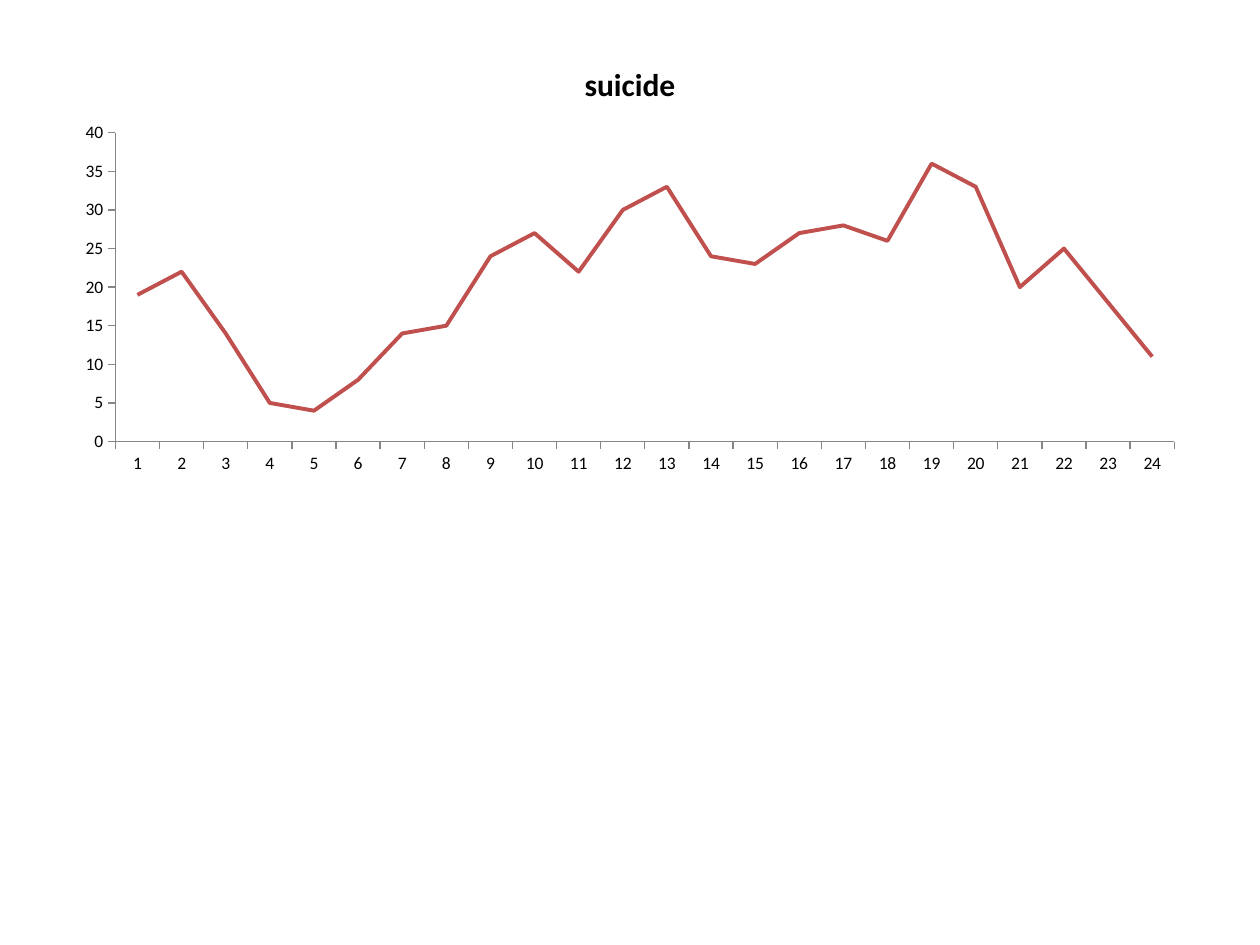
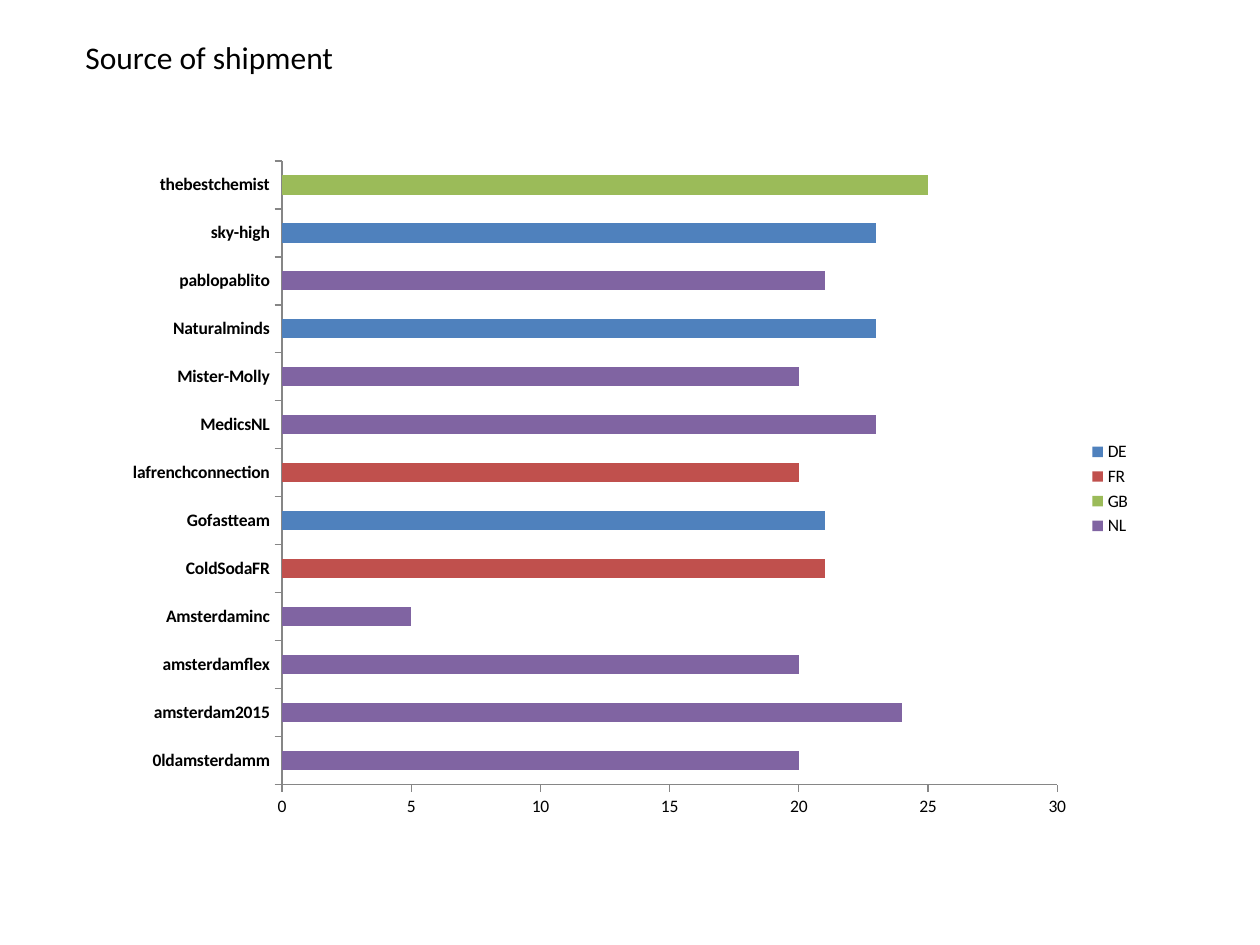
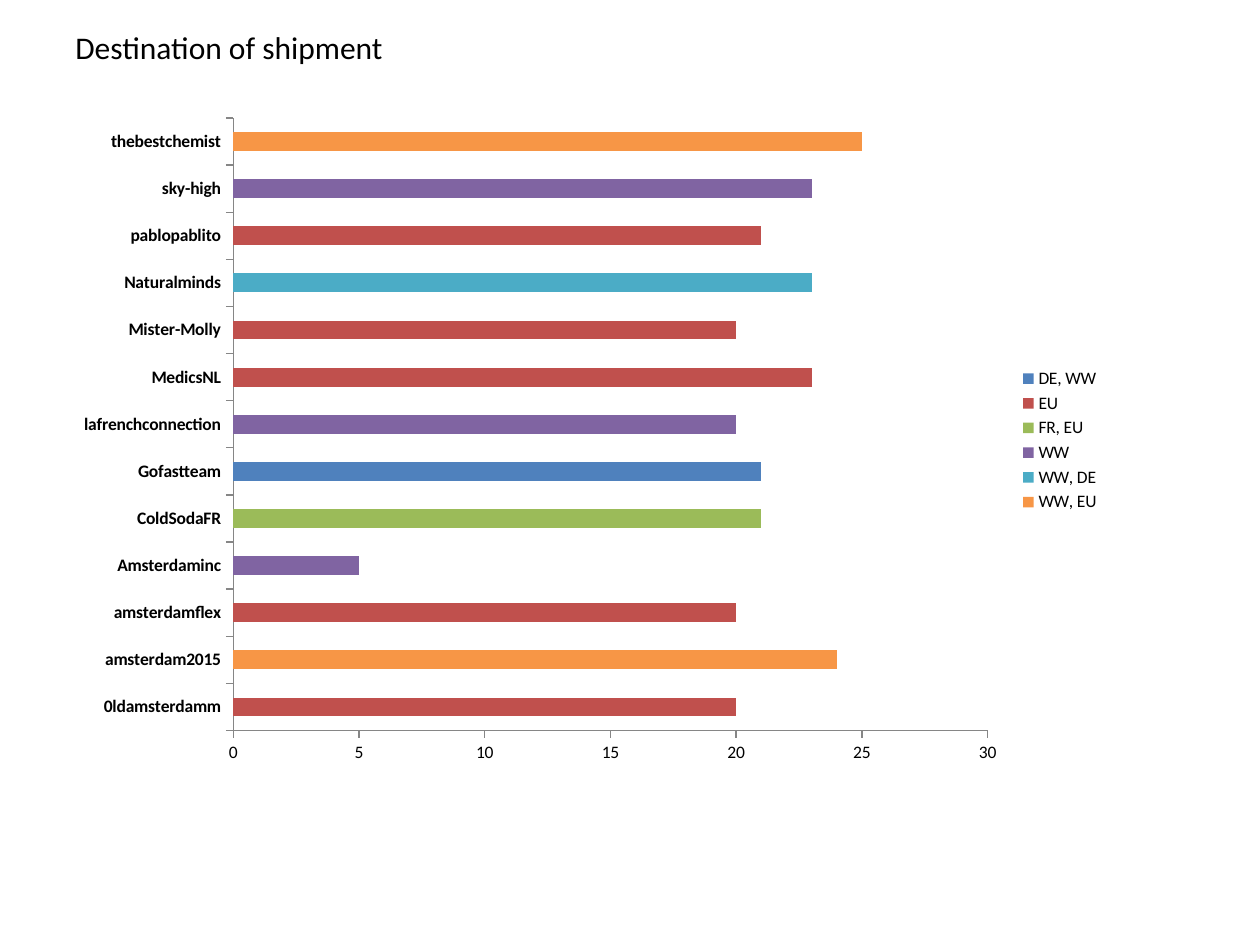
"""Build three slides: a line chart by hour and two bar charts of shipments per seller."""
from typing import NamedTuple

from pptx import Presentation
from pptx import util as u
from pptx.chart import data as chart_data
from pptx.dml.color import RGBColor
from pptx.enum import chart as kinds

PX = u.Inches(1) // 100
FONT = "Calibri"
WHITE = RGBColor(0xFF, 0xFF, 0xFF)
BLACK = RGBColor(0x00, 0x00, 0x00)
GREY = RGBColor(0x86, 0x86, 0x86)
BLUE = RGBColor(0x4F, 0x81, 0xBD)
RED = RGBColor(0xC0, 0x50, 0x4D)
GREEN = RGBColor(0x9B, 0xBB, 0x59)
PURPLE = RGBColor(0x80, 0x64, 0xA2)
TEAL = RGBColor(0x4B, 0xAC, 0xC6)
ORANGE = RGBColor(0xF7, 0x96, 0x46)
PALETTE = (BLUE, RED, GREEN, PURPLE, TEAL, ORANGE)
HOURLY_COUNTS = (19, 22, 14, 5, 4, 8, 14, 15, 24, 27, 22, 30,
                 33, 24, 23, 27, 28, 26, 36, 33, 20, 25, 18, 11)


class Box(NamedTuple):
    left: int
    top: int
    width: int
    height: int

    def emu(self):
        return [u.Emu(side * PX) for side in self]


class Seller(NamedTuple):
    name: str
    shipments: int
    source: str
    destination: str


class ShipmentPage(NamedTuple):
    title: str
    title_box: Box
    chart_box: Box
    group_by: str


SELLERS = (
    Seller("0ldamsterdamm", 20, "NL", "EU"),
    Seller("amsterdam2015", 24, "NL", "WW, EU"),
    Seller("amsterdamflex", 20, "NL", "EU"),
    Seller("Amsterdaminc", 5, "NL", "WW"),
    Seller("ColdSodaFR", 21, "FR", "FR, EU"),
    Seller("Gofastteam", 21, "DE", "DE, WW"),
    Seller("lafrenchconnection", 20, "FR", "WW"),
    Seller("MedicsNL", 23, "NL", "EU"),
    Seller("Mister-Molly", 20, "NL", "EU"),
    Seller("Naturalminds", 23, "DE", "WW, DE"),
    Seller("pablopablito", 21, "NL", "EU"),
    Seller("sky-high", 23, "DE", "WW"),
    Seller("thebestchemist", 25, "GB", "WW, EU"),
)
SHIPMENT_PAGES = (
    ShipmentPage("Source of shipment", Box(58, 25, 733, 40),
                 Box(89, 117, 819, 542), "source"),
    ShipmentPage("Destination of shipment", Box(50, 17, 408, 40),
                 Box(50, 83, 833, 533), "destination"),
)


def write(frame, text: str, *, size: int = 18, bold: bool = False,
          color: RGBColor = BLACK) -> None:
    """Put one formatted run into a text frame."""
    span = frame.paragraphs[0].add_run()
    span.text = text
    font = span.font
    font.name, font.size, font.bold = FONT, u.Pt(size), bold
    font.color.rgb = color


def add_page(deck):
    """Append a blank white slide."""
    page = deck.slides.add_slide(deck.slide_layouts[6])
    page.background.fill.solid()
    page.background.fill.fore_color.rgb = WHITE
    return page


def add_plain_chart(page, kind, box: Box, categories, series: dict, top: int):
    """Add a chart without gridlines, with grey axes stepping by five."""
    values = chart_data.CategoryChartData()
    values.categories = categories
    for name, numbers in series.items():
        values.add_series(name, numbers)
    chart = page.shapes.add_chart(kind, *box.emu(), values).chart
    chart.font.name, chart.font.size = FONT, u.Pt(10)
    chart.font.color.rgb = BLACK
    chart.has_title = chart.has_legend = False
    chart.plots[0].vary_by_categories = False
    for axis in (chart.category_axis, chart.value_axis):
        axis.has_major_gridlines = False
        axis.major_tick_mark = kinds.XL_TICK_MARK.OUTSIDE
        axis.minor_tick_mark = kinds.XL_TICK_MARK.NONE
        axis.format.line.color.rgb = GREY
        axis.format.line.width = u.Pt(0.75)
    scale = chart.value_axis
    scale.minimum_scale, scale.maximum_scale, scale.major_unit = 0, top, 5
    return chart


def add_hourly_page(deck) -> None:
    """Add the line chart of counts over 24 hours."""
    hours = [str(hour) for hour in range(1, 25)]
    chart = add_plain_chart(add_page(deck), kinds.XL_CHART_TYPE.LINE, Box(50, 33, 900, 350),
                            hours, {"Series 1": HOURLY_COUNTS}, top=40)
    chart.has_title = True
    write(chart.chart_title.text_frame, "suicide", bold=True)
    line = chart.series[0]
    line.smooth = False
    line.marker.style = kinds.XL_MARKER_STYLE.NONE
    line.format.line.color.rgb = RED
    line.format.line.width = u.Pt(2.25)


def add_shipment_page(deck, plan: ShipmentPage) -> None:
    """Add a titled bar chart of sellers coloured by region."""
    page = add_page(deck)
    title = page.shapes.add_textbox(*plan.title_box.emu()).text_frame
    title.word_wrap = True
    write(title, plan.title)

    regions = sorted({getattr(seller, plan.group_by) for seller in SELLERS})
    series = {
        region: [seller.shipments if getattr(seller, plan.group_by) == region else 0
                 for seller in SELLERS]
        for region in regions
    }
    chart = add_plain_chart(page, kinds.XL_CHART_TYPE.BAR_STACKED, plan.chart_box,
                            [seller.name for seller in SELLERS], series, top=30)
    chart.plots[0].gap_width, chart.plots[0].overlap = 150, 100
    for bars, color in zip(chart.series, PALETTE):
        bars.format.fill.solid()
        bars.format.fill.fore_color.rgb = color
    names = chart.category_axis.tick_labels.font
    names.name, names.size, names.bold = FONT, u.Pt(10), True
    names.color.rgb = BLACK
    labels = chart.value_axis.tick_labels
    labels.number_format, labels.number_format_is_linked = "###0", False
    chart.has_legend = True
    chart.legend.position = kinds.XL_LEGEND_POSITION.RIGHT
    chart.legend.include_in_layout = False


def main() -> None:
    """Build and save the deck."""
    deck = Presentation()
    deck.slide_width, deck.slide_height = 1000 * PX, 750 * PX
    add_hourly_page(deck)
    for plan in SHIPMENT_PAGES:
        add_shipment_page(deck, plan)
    deck.save("out.pptx")


if __name__ == "__main__":
    main()
